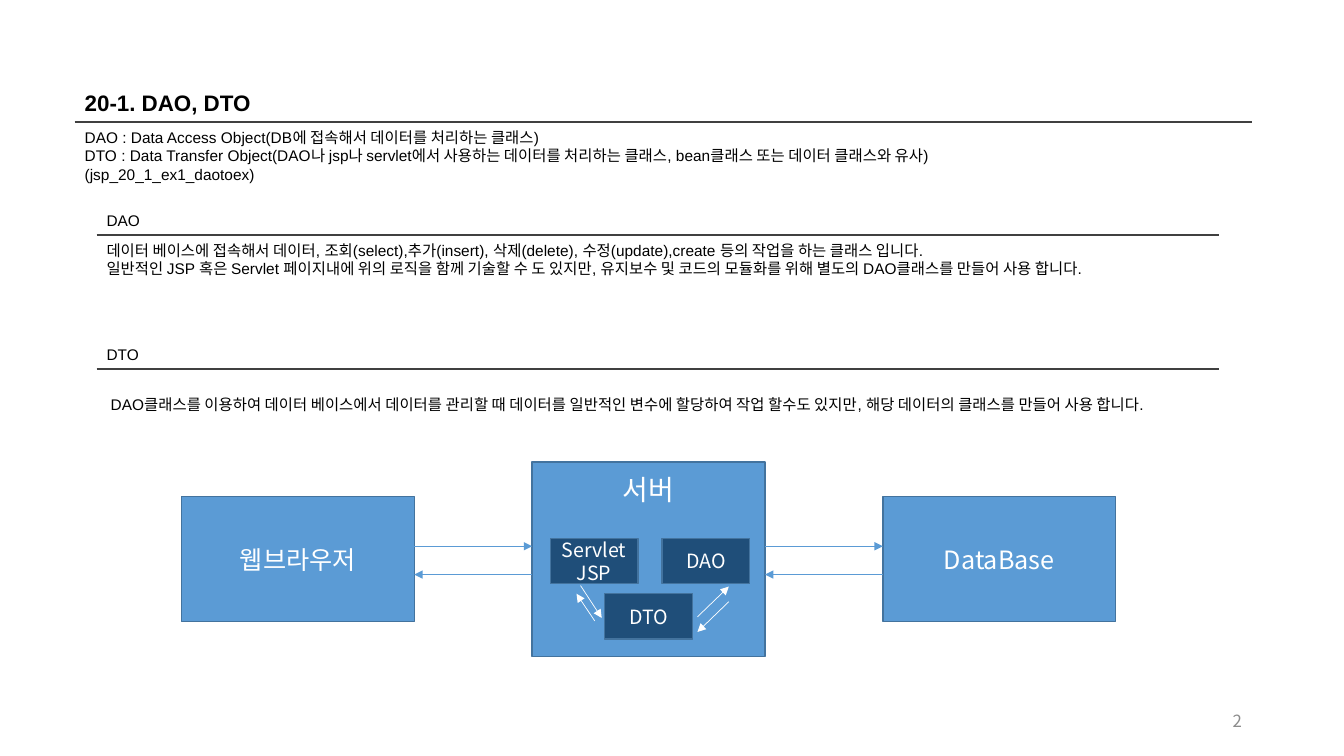
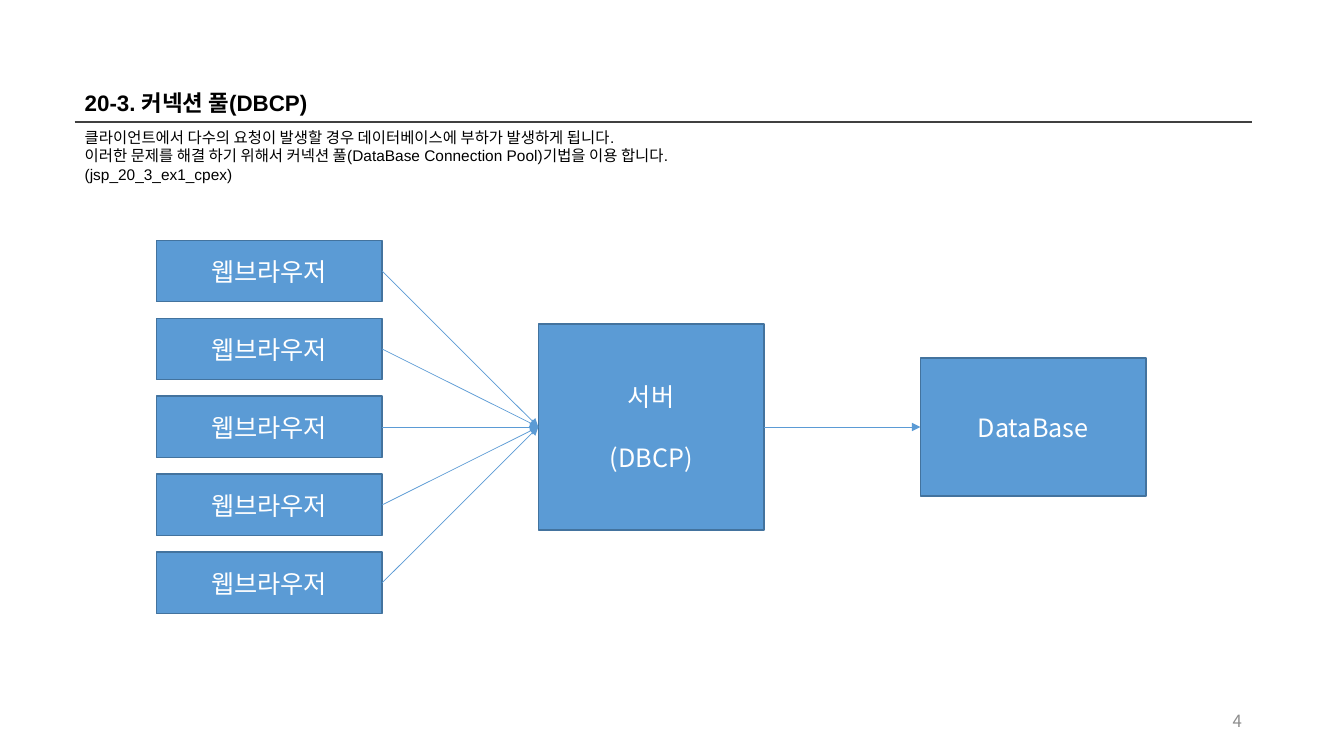
from dataclasses import dataclass

from lxml.etree import SubElement as Sub
from pptx import Presentation
from pptx.dml.color import RGBColor as Rgb
from pptx.enum.shapes import MSO_CONNECTOR as Link, MSO_SHAPE as Kind
from pptx.enum.text import MSO_ANCHOR as Anchor, MSO_AUTO_SIZE as Fit, PP_ALIGN as Align
from pptx.oxml.ns import qn
from pptx.shapes.autoshape import Shape
from pptx.shapes.connector import Connector
from pptx.slide import Slide
from pptx.text.text import TextFrame
from pptx.util import Pt

HUES = {
    "ink": "000000",
    "rule": "404040",
    "page": "8C8C8C",
    "blue": "5B9BD5",
    "edge": "43739E",
    "navy": "1F4E79",
    "white": "FFFFFF",
}
SANS = "Arial"
HANGUL = "Noto Sans CJK KR"
LEFT, WIDE, TOP = 53.3, 841, 87.1
RIGHT_SITE, LEFT_SITE = 3, 1


@dataclass(frozen=True)
class Style:
    size: float
    hue: str = "ink"
    face: str = SANS
    bold: bool = False
    align: Align = Align.LEFT
    anchor: Anchor = Anchor.TOP
    gap: float = 0


@dataclass(frozen=True)
class Area:
    x: float
    y: float
    w: float
    h: float


@dataclass(frozen=True)
class Box:
    text: str
    area: Area
    style: Style
    hue: str = "blue"


@dataclass(frozen=True)
class Line:
    x1: float
    y1: float
    x2: float
    y2: float
    hue: str = "blue"


@dataclass(frozen=True)
class Part:
    name: str
    rule: float
    text: str
    x: float
    drop: float


HEAD = Style(16, bold=True)
BODY = Style(11)
PAGE = Style(12, "page", HANGUL, align=Align.RIGHT, anchor=Anchor.MIDDLE)
NODE = Style(18, "white", HANGUL, align=Align.CENTER, anchor=Anchor.MIDDLE)
POOL = Style(18, "white", HANGUL, align=Align.CENTER, anchor=Anchor.MIDDLE, gap=21.6)
HOST = Style(20, "white", align=Align.CENTER)
CORE = Style(14, "white", HANGUL, align=Align.CENTER, anchor=Anchor.MIDDLE)


def tint(key: str) -> Rgb:
    return Rgb.from_string(HUES[key])


def put(frame: TextFrame, text: str, style: Style) -> None:
    frame.text = text
    frame.word_wrap = True
    frame.auto_size = Fit.NONE
    frame.vertical_anchor = style.anchor
    for index, para in enumerate(frame.paragraphs):
        para.alignment = style.align
        para.line_spacing = Pt(1.2 * style.size)
        para.space_before = Pt(style.gap if index else 0)
        for run in para.runs:
            font = run.font
            font.size = Pt(style.size)
            font.bold = style.bold
            font.color.rgb = tint(style.hue)
            font.name = style.face
            Sub(run._r.get_or_add_rPr(), qn("a:ea")).set("typeface", HANGUL)


def move(shape: Shape, area: Area) -> None:
    shape.left, shape.top = Pt(area.x), Pt(area.y)
    shape.width, shape.height = Pt(area.w), Pt(area.h)


def note(slide: Slide, text: str, area: Area, style: Style) -> None:
    shape = slide.shapes.add_textbox(Pt(area.x), Pt(area.y), Pt(area.w), Pt(area.h))
    put(shape.text_frame, text, style)


def draw(slide: Slide, line: Line, width: float = 0.5, arrow: bool = True) -> Connector:
    link = slide.shapes.add_connector(
        Link.STRAIGHT, Pt(line.x1), Pt(line.y1), Pt(line.x2), Pt(line.y2)
    )
    link.line.color.rgb = tint(line.hue)
    link.line.width = Pt(width)
    props = link._element.spPr
    if arrow:
        Sub(props.find(qn("a:ln")), qn("a:tailEnd")).set("type", "triangle")
    Sub(props, qn("a:effectLst"))
    return link


def rule(slide: Slide, x: float, y: float, width: float) -> None:
    draw(slide, Line(x, y, x + width, y, "rule"), 1, False)


def block(slide: Slide, box: Box) -> Shape:
    area = box.area
    shape = slide.shapes.add_shape(
        Kind.RECTANGLE, Pt(area.x), Pt(area.y), Pt(area.w), Pt(area.h)
    )
    shape.shadow.inherit = False
    shape.fill.solid()
    shape.fill.fore_color.rgb = tint(box.hue)
    shape.line.color.rgb = tint("edge")
    shape.line.width = Pt(1)
    frame = shape.text_frame
    put(frame, box.text, box.style)
    frame.margin_left = frame.margin_right = 0
    frame.margin_top = frame.margin_bottom = Pt(7.2 if box.style is HOST else 0)
    return shape


def join(slide: Slide, start: Shape, end: Shape) -> None:
    link = draw(slide, Line(0, 0, 1, 1))
    link.begin_connect(start, RIGHT_SITE)
    link.end_connect(end, LEFT_SITE)


def base(deck: Presentation, title: str, body: str, page: str) -> Slide:
    slide = deck.slides.add_slide(deck.slide_layouts[1])
    head, text = slide.shapes.title, slide.placeholders[1]
    move(head, Area(LEFT, 59.8, WIDE, 26.6))
    put(head.text_frame, title, HEAD)
    move(text, Area(LEFT, TOP + 0.7, WIDE, 47.5))
    put(text.text_frame, body, BODY)
    for para in text.text_frame.paragraphs:
        props = para._p.get_or_add_pPr()
        props.set("marL", "0")
        props.set("indent", "0")
        Sub(props, qn("a:buNone"))
    rule(slide, LEFT, TOP, WIDE)
    note(slide, page, Area(678.3, 500.4, 216, 28.8), PAGE)
    return slide


def roles(deck: Presentation) -> None:
    slide = base(
        deck,
        "20-1. DAO, DTO",
        "DAO : Data Access Object(DB에 접속해서 데이터를 처리하는 클래스)\n"
        "DTO : Data Transfer Object(DAO나 jsp나 servlet에서 사용하는 데이터를 처리하는 클래스, "
        "bean클래스 또는 데이터 클래스와 유사)\n"
        "(jsp_20_1_ex1_daotoex)",
        "2",
    )
    parts = (
        Part(
            "DAO",
            167.8,
            "데이터 베이스에 접속해서 데이터, 조회(select),추가(insert), 삭제(delete), "
            "수정(update),create 등의 작업을 하는 클래스 입니다.\n"
            "일반적인 JSP 혹은 Servlet 페이지내에 위의 로직을 함께 기술할 수 도 있지만, "
            "유지보수 및 코드의 모듈화를 위해 별도의 DAO클래스를 만들어 사용 합니다.",
            69,
            0.7,
        ),
        Part(
            "DTO",
            263.5,
            "DAO클래스를 이용하여 데이터 베이스에서 데이터를 관리할 때 데이터를 일반적인 변수에 "
            "할당하여 작업 할수도 있지만, 해당 데이터의 클래스를 만들어 사용 합니다.",
            72,
            15.1,
        ),
    )
    for part in parts:
        rule(slide, 69, part.rule, 802)
        note(slide, part.name, Area(69, part.rule - 20.2, 802, 20.9), BODY)
        note(slide, part.text, Area(part.x, part.rule + part.drop, 802, 33.8), BODY)

    left, width, step, mid = 129.6, 166.3, 250.5, 399.5
    nodes = (("웹브라우저", 89.3, NODE), ("서버", 139, HOST), ("DataBase", 89.3, NODE))
    for index, (text, high, style) in enumerate(nodes):
        area = Area(left + index * step, mid - high / 2, width, high)
        block(slide, Box(text, area, style))
    for text, x, y in (
        ("Servlet\nJSP", 393.1, 384.5),
        ("DAO", 473, 384.5),
        ("DTO", 432, 424.1),
    ):
        block(slide, Box(text, Area(x, y, 62.6, 32.4), CORE, "navy"))
    for index in range(2):
        start = left + width + index * step
        end = left + (index + 1) * step
        draw(slide, Line(start, 390.2, end, 390.2))
        draw(slide, Line(end, 410.4, start, 410.4))
    for ends in (
        (414.7, 418.3, 429.8, 441.4),
        (424.8, 443.5, 411.8, 424.1),
        (498.2, 440.6, 520.6, 419),
        (520.6, 429.8, 498.2, 451.4),
    ):
        draw(slide, Line(*ends, "white"))


def pool(deck: Presentation) -> None:
    slide = base(
        deck,
        "20-3. 커넥션 풀(DBCP)",
        "클라이언트에서 다수의 요청이 발생할 경우 데이터베이스에 부하가 발생하게 됩니다.\n"
        "이러한 문제를 해결 하기 위해서 커넥션 풀(DataBase Connection Pool)기법을 이용 합니다.\n"
        "(jsp_20_3_ex1_cpex)",
        "4",
    )
    left, width, step, mid = 111.6, 161.3, 272.9, 305

    def node(text: str, col: int, y: float, high: float, style: Style) -> Shape:
        area = Area(left + col * step, y - high / 2, width, high)
        return block(slide, Box(text, area, style))

    users = [node("웹브라우저", 0, mid + row * 55.7, 44, NODE) for row in range(-2, 3)]
    host = node("서버\n(DBCP)", 1, mid, 147, POOL)
    store = node("DataBase", 2, mid, 98.6, NODE)
    for user in users:
        join(slide, user, host)
    join(slide, host, store)


def main() -> None:
    deck = Presentation()
    deck.slide_width, deck.slide_height = Pt(960), Pt(540)
    roles(deck)
    pool(deck)
    deck.save("out.pptx")


if __name__ == "__main__":
    main()
